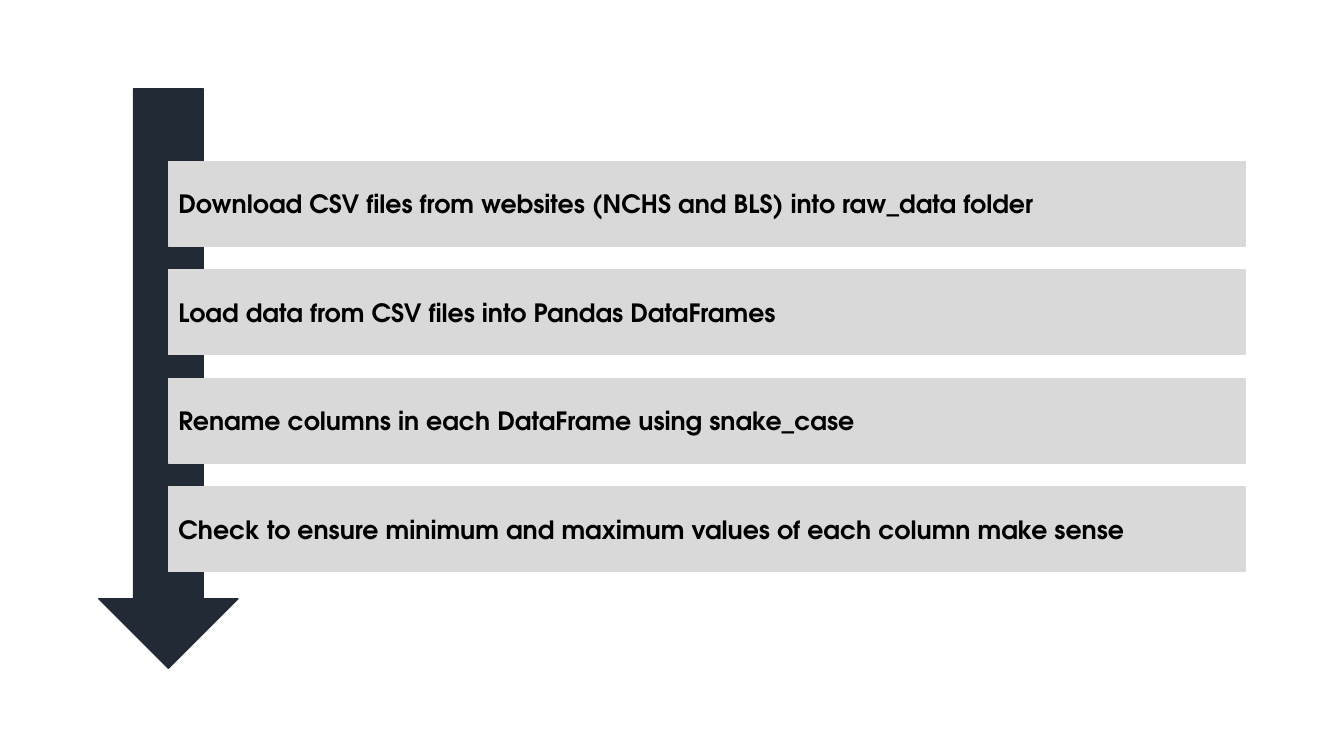
from dataclasses import dataclass

from pptx import Presentation
from pptx.dml.color import RGBColor
from pptx.enum.shapes import MSO_SHAPE
from pptx.enum.text import MSO_ANCHOR, PP_ALIGN
from pptx.shapes.autoshape import Shape
from pptx.slide import Slide
from pptx.util import Inches, Pt

DOWN_ARROW = MSO_SHAPE.DOWN_ARROW
RECTANGLE = MSO_SHAPE.RECTANGLE
MIDDLE = MSO_ANCHOR.MIDDLE
LEFT = PP_ALIGN.LEFT

BLANK_LAYOUT = 6
FONT = "TeX Gyre Adventor"
NAVY, GREY, BLACK = "222A35", "D9D9D9", "000000"


@dataclass(frozen=True)
class Box:
    """A rectangle in inches."""
    left: float
    top: float
    width: float
    height: float


ARROW = Box(0.98, 0.88, 1.38, 5.75)
STEP_LEFT = ARROW.left + ARROW.width / 2
FIRST_STEP_TOP, LAST_STEP_TOP = 1.6, 4.83
STEP_WIDTH, STEP_HEIGHT = 10.68, 0.84

STEPS = (
    "Download CSV files from websites (NCHS and BLS) into raw_data folder",
    "Load data from CSV files into Pandas DataFrames",
    "Rename columns in each DataFrame using snake_case",
    "Check to ensure minimum and maximum values of each column make sense",
)


def color(hex_code: str) -> RGBColor:
    return RGBColor.from_string(hex_code)


def add_block(slide: Slide, preset: MSO_SHAPE, box: Box, hex_code: str) -> Shape:
    """Draw a preset shape whose fill and outline share one colour."""
    block = slide.shapes.add_shape(
        preset, Inches(box.left), Inches(box.top), Inches(box.width), Inches(box.height)
    )
    block.shadow.inherit = False
    block.fill.solid()
    block.fill.fore_color.rgb = color(hex_code)
    block.line.color.rgb = color(hex_code)
    block.line.width = Pt(1)
    return block


def add_step(slide: Slide, box: Box, wording: str) -> None:
    frame = add_block(slide, RECTANGLE, box, GREY).text_frame
    frame.word_wrap = True
    frame.vertical_anchor = MIDDLE
    paragraph = frame.paragraphs[0]
    paragraph.text = wording
    paragraph.alignment = LEFT
    font = paragraph.font
    font.name = FONT
    font.size = Pt(18)
    font.bold = True
    font.color.rgb = color(BLACK)


def main() -> None:
    deck = Presentation()
    deck.slide_width, deck.slide_height = Inches(13.33), Inches(7.5)
    slide = deck.slides.add_slide(deck.slide_layouts[BLANK_LAYOUT])

    add_block(slide, DOWN_ARROW, ARROW, NAVY)
    pitch = (LAST_STEP_TOP - FIRST_STEP_TOP) / (len(STEPS) - 1)
    for row, wording in enumerate(STEPS):
        top = FIRST_STEP_TOP + row * pitch
        add_step(slide, Box(STEP_LEFT, top, STEP_WIDTH, STEP_HEIGHT), wording)

    deck.save("out.pptx")


if __name__ == "__main__":
    main()
